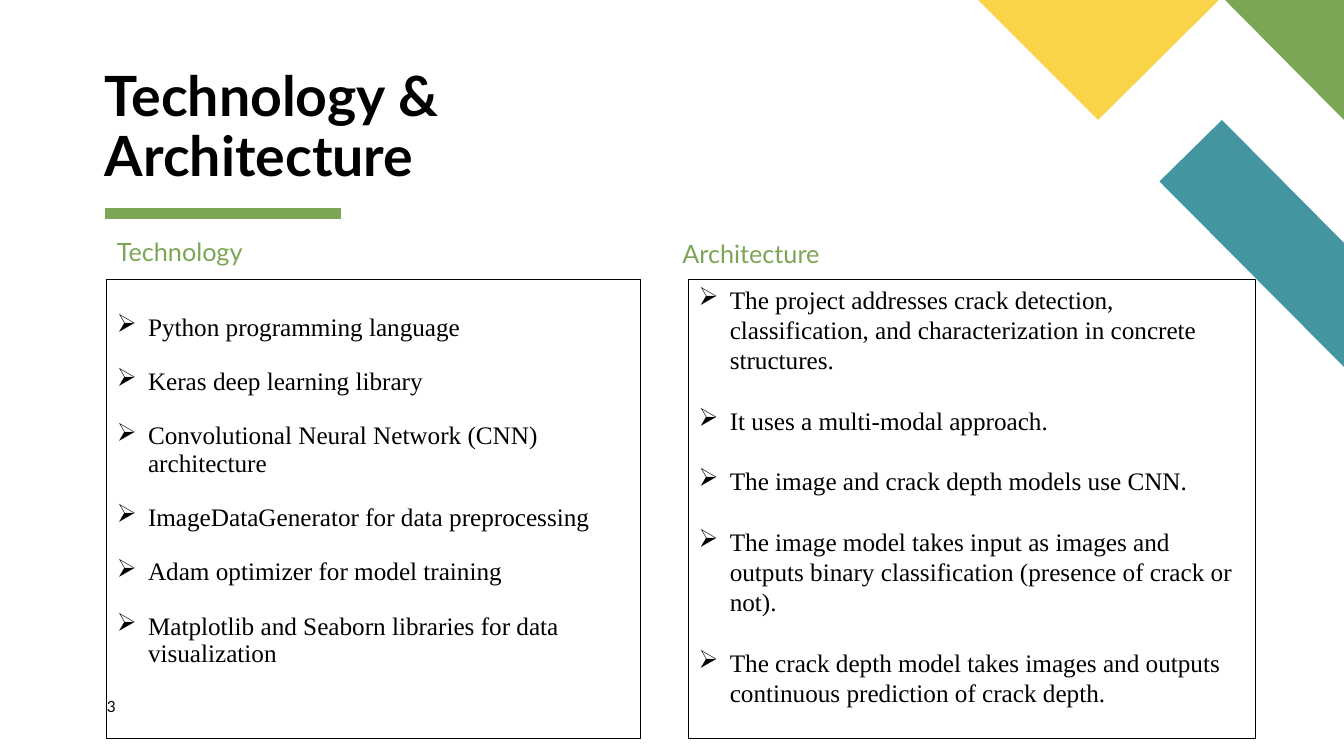
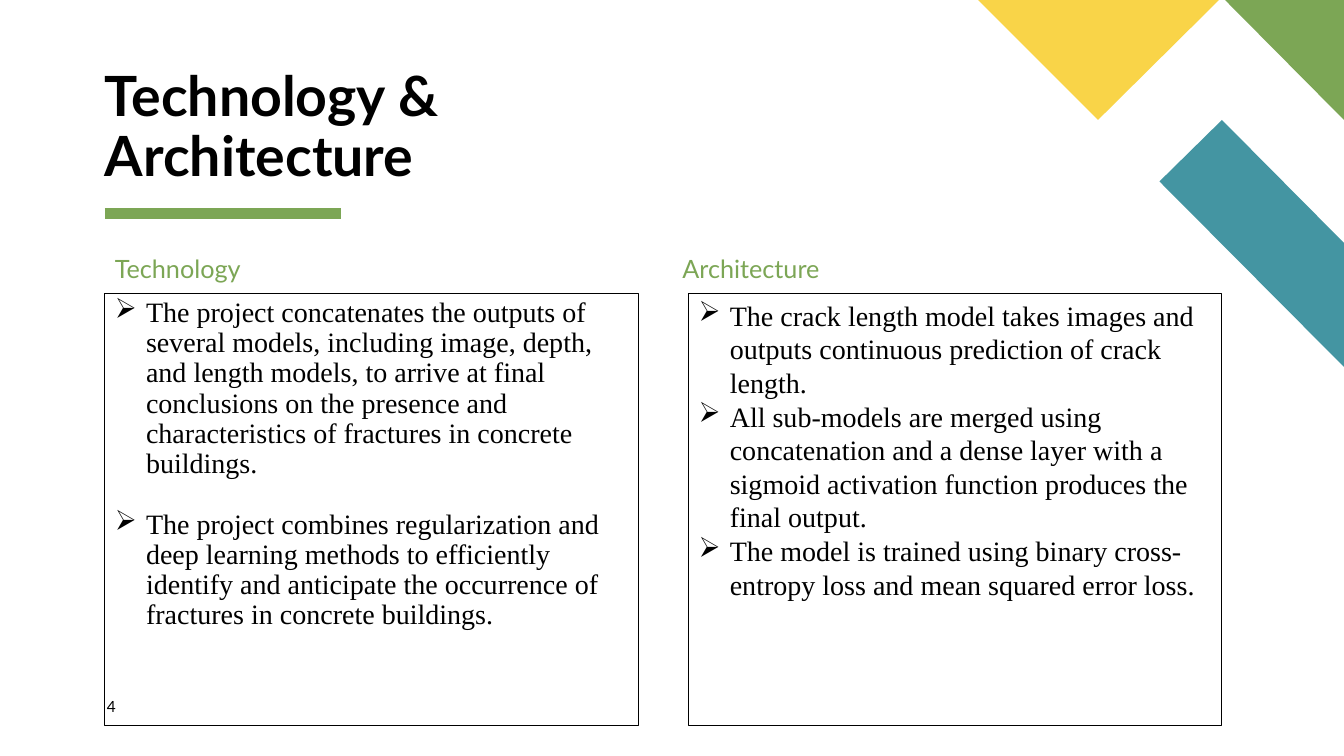
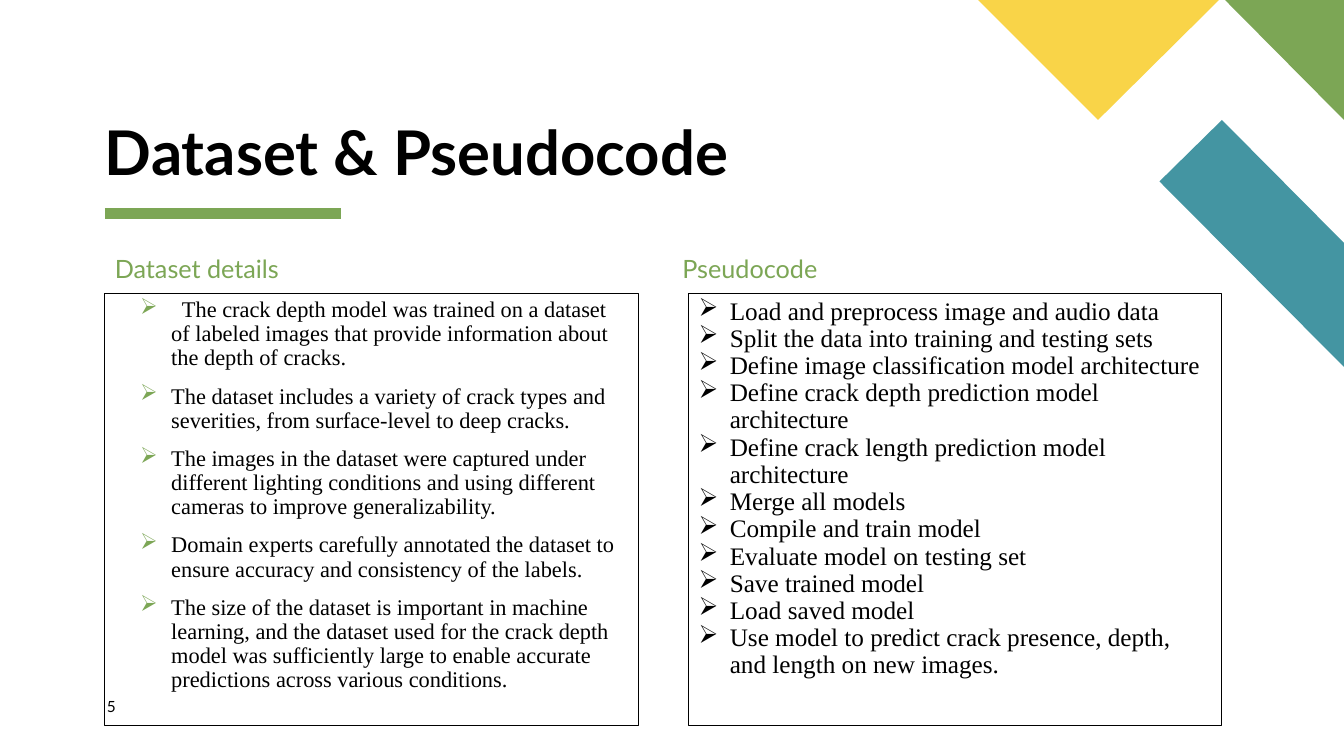
from lxml import etree
from pptx import Presentation
from pptx import util as u
from pptx.dml.color import RGBColor
from pptx.enum import shapes, text
from pptx.oxml import ns

COLORS = {"white": "FFFFFF", "black": "000000", "green": "7CA655",
          "teal": "4495A2", "yellow": "F9D448"}
HEADING_FONT = "Lato"
BODY_FONT = "Times New Roman"
BULLET = "➢"

# Corner decoration: colour and outline in inches
CORNER = [
    ("teal", [(13.33, 3.64), (13.33, 2.41), (12.12, 1.19), (11.5, 1.8)]),
    ("green", [(13.33, 1.19), (13.33, 0), (12.15, 0)]),
    ("yellow", [(9.7, 0), (10.89, 1.19), (12.09, 0)]),
]


def rgb(name):
    return RGBColor.from_string(COLORS[name])


class Deck:
    """Holds the shared style and the slide being built."""

    def __init__(self):
        self.presentation = Presentation()
        self.presentation.slide_width = u.Inches(13.33)
        self.presentation.slide_height = u.Inches(7.5)
        self.slide = None

    def add_slide(self, title, title_size, number):
        layout = self.presentation.slide_layouts[6]
        self.slide = self.presentation.slides.add_slide(layout)
        background = self.slide.background.fill
        background.solid()
        background.fore_color.rgb = rgb("white")
        self.rule()
        for color, points in CORNER:
            self.polygon(color, points)
        self.label(title, (1.04, 1.2, 6.32, 0.67), title_size, bold=True,
                   anchor=text.MSO_ANCHOR.BOTTOM)
        self.label(str(number), (1.06, 6.92, 0.57, 0.27), 11, line_spacing=1)

    def rule(self):
        """Green line under the title."""
        line = self.slide.shapes.add_connector(
            shapes.MSO_CONNECTOR.STRAIGHT, u.Inches(1.04), u.Inches(2.12),
            u.Inches(3.38), u.Inches(2.12))
        line.line.color.rgb = rgb("green")
        line.line.width = u.Pt(8)
        etree.SubElement(line._element.spPr, ns.qn("a:effectLst"))

    def polygon(self, color, points):
        corners = [(u.Inches(x), u.Inches(y)) for x, y in points]
        builder = self.slide.shapes.build_freeform(*corners[0])
        builder.add_line_segments(corners[1:], close=True)
        shape = builder.convert_to_shape()
        shape.shadow.inherit = False
        shape.fill.solid()
        shape.fill.fore_color.rgb = rgb(color)
        shape.line.fill.background()

    def frame(self, shape, inset, anchor=text.MSO_ANCHOR.TOP):
        """Set wrapping, anchor and margins (sides, top) in inches."""
        frame = shape.text_frame
        frame.word_wrap = True
        frame.vertical_anchor = anchor
        frame.margin_left = frame.margin_right = u.Inches(inset[0])
        frame.margin_top = u.Inches(inset[1])
        frame.margin_bottom = u.Inches(min(inset))
        return frame

    def font(self, paragraph, name, size, color, bold=False):
        font = paragraph.font
        font.name, font.size, font.bold = name, u.Pt(size), bold
        font.color.rgb = rgb(color)

    def label(self, words, box, size, color="black", bold=False, inset=(0, 0),
              anchor=text.MSO_ANCHOR.TOP, line_spacing=0.9):
        shape = self.slide.shapes.add_textbox(*map(u.Inches, box))
        paragraph = self.frame(shape, inset, anchor).paragraphs[0]
        paragraph.text = words
        paragraph.line_spacing = line_spacing
        self.font(paragraph, HEADING_FONT, size, color, bold)

    def heading(self, words, left, top):
        self.label(words, (left, top, 5.29, 0.35), 18, "green", inset=(0.1, 0.05))

    def bullets(self, items, box, size, bullet_color="black",
                line_spacing=0.9, gap=0, indent=0.31, top_inset=0.05):
        """Outlined box with a bulleted list; gap is in points."""
        shape = self.slide.shapes.add_shape(
            shapes.MSO_SHAPE.RECTANGLE, *map(u.Inches, box))
        shape.shadow.inherit = False
        shape.fill.background()
        shape.line.color.rgb = rgb("black")
        shape.line.width = u.Pt(0.75)
        frame = self.frame(shape, (0.1, top_inset))
        for index, item in enumerate(items):
            paragraph = frame.add_paragraph() if index else frame.paragraphs[0]
            paragraph.text = item
            paragraph.alignment = text.PP_ALIGN.LEFT
            paragraph.line_spacing = line_spacing
            paragraph.space_before = u.Pt(gap)
            properties = paragraph._p.get_or_add_pPr()
            properties.set("marL", str(u.Inches(indent)))
            properties.set("indent", str(u.Inches(-0.31)))
            color = etree.SubElement(properties, ns.qn("a:buClr"))
            etree.SubElement(color, ns.qn("a:srgbClr"), val=COLORS[bullet_color])
            etree.SubElement(properties, ns.qn("a:buChar"), char=BULLET)
            self.font(paragraph, BODY_FONT, size, "black")


def main():
    deck = Deck()
    left_box = (1.04, 2.91, 5.29, 4.29)
    right_box = (6.83, 2.91, 5.29, 4.29)

    # Technology and architecture, first part
    deck.add_slide("Technology & Architecture", 39.6, 3)
    deck.heading("Technology", 1.06, 2.33)
    deck.bullets([
        "Python programming language",
        "Keras deep learning library",
        "Convolutional Neural Network (CNN) architecture",
        "ImageDataGenerator for data preprocessing",
        "Adam optimizer for model training",
        "Matplotlib and Seaborn libraries for data visualization",
    ], (1.06, 2.77, 5.29, 4.56), 18, gap=19.4, top_inset=0.35)
    deck.heading("Architecture", 6.67, 2.35)
    deck.bullets([
        "The project addresses crack detection, classification, and "
        "characterization in concrete structures.",
        "It uses a multi-modal approach.",
        "The image and crack depth models use CNN.",
        "The image model takes input as images and outputs binary "
        "classification (presence of crack or not).",
        "The crack depth model takes images and outputs continuous "
        "prediction of crack depth.",
    ], (6.83, 2.77, 5.62, 4.56), 18, line_spacing=1, gap=21.6)

    # Technology and architecture, second part
    deck.add_slide("Technology & Architecture", 39.6, 4)
    deck.heading("Technology", 1.04, 2.5)
    deck.bullets([
        "The project concatenates the outputs of several models, including "
        "image, depth, and length models, to arrive at final conclusions on "
        "the presence and characteristics of fractures in concrete buildings.",
        "The project combines regularization and deep learning methods to "
        "efficiently identify and anticipate the occurrence of fractures in "
        "concrete buildings.",
    ], left_box, 20, gap=21.6)
    deck.heading("Architecture", 6.67, 2.5)
    deck.bullets([
        "The crack length model takes images and outputs continuous "
        "prediction of crack length.",
        "All sub-models are merged using concatenation and a dense layer "
        "with a sigmoid activation function produces the final output.",
        "The model is trained using binary cross-entropy loss and mean "
        "squared error loss.",
    ], right_box, 20, line_spacing=1)

    # Dataset and pseudocode
    deck.add_slide("Dataset & Pseudocode", 44, 5)
    deck.heading("Dataset details", 1.04, 2.5)
    deck.bullets([
        "  The crack depth model was trained on a dataset of labeled images "
        "that provide information about the depth of cracks.",
        "The dataset includes a variety of crack types and severities, from "
        "surface-level to deep cracks.",
        "The images in the dataset were captured under different lighting "
        "conditions and using different cameras to improve generalizability.",
        "Domain experts carefully annotated the dataset to ensure accuracy "
        "and consistency of the labels.",
        "The size of the dataset is important in machine learning, and the "
        "dataset used for the crack depth model was sufficiently large to "
        "enable accurate predictions across various conditions.",
    ], left_box, 16, bullet_color="green", gap=10, indent=0.56)
    deck.heading("Pseudocode", 6.67, 2.5)
    deck.bullets([
        "Load and preprocess image and audio data",
        "Split the data into training and testing sets",
        "Define image classification model architecture",
        "Define crack depth prediction model architecture",
        "Define crack length prediction model architecture",
        "Merge all models",
        "Compile and train model",
        "Evaluate model on testing set",
        "Save trained model",
        "Load saved model",
        "Use model to predict crack presence, depth, and length on new images.",
    ], right_box, 18)

    deck.presentation.save("out.pptx")


if __name__ == "__main__":
    main()
